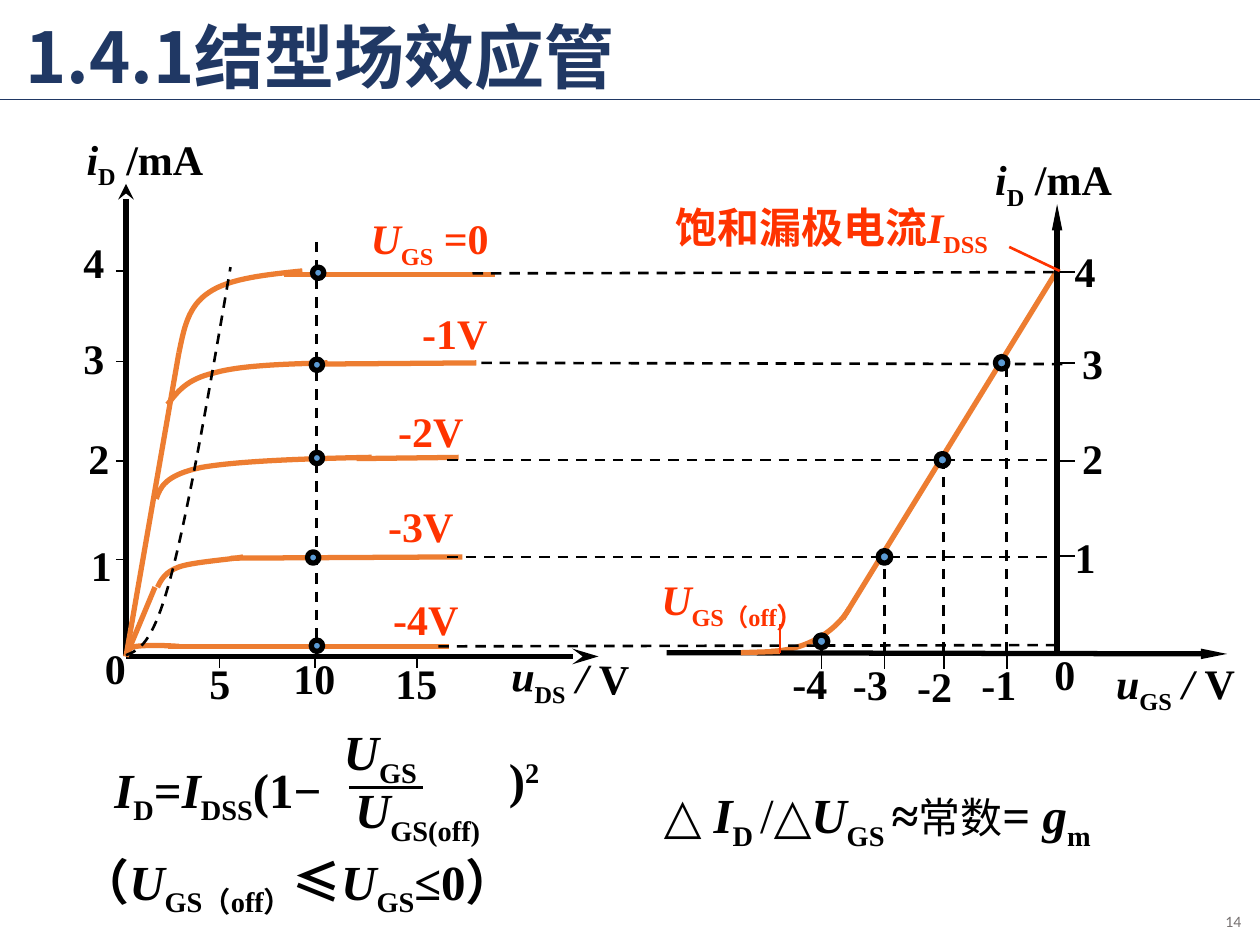
from dataclasses import dataclass

from lxml import etree
from pptx import Presentation
from pptx.dml.color import RGBColor
from pptx.enum import dml, shapes, text
from pptx.oxml import ns
from pptx.util import Inches, Pt


@dataclass(frozen=True)
class Theme:
    ink: RGBColor = RGBColor(0, 0, 0)
    navy: RGBColor = RGBColor(0x20, 0x38, 0x64)
    curve: RGBColor = RGBColor(0xED, 0x7D, 0x31)
    accent: RGBColor = RGBColor(0xFF, 0x33, 0x00)
    marker: RGBColor = RGBColor(0x5B, 0x9B, 0xD5)
    muted: RGBColor = RGBColor(0x76, 0x71, 0x71)
    serif: str = "Times New Roman"
    sans: str = "Noto Sans CJK SC"
    small: str = "Calibri"
    title: int = 40
    formula: int = 28
    label: int = 24
    number: int = 9
    thick: float = 3
    dash: float = 1.5
    tick: float = 1


THEME = Theme()
CENTER = text.PP_ALIGN.CENTER


def add_run(paragraph, words, style="", size=THEME.label, color=THEME.ink, face=THEME.serif):
    run = paragraph.add_run()
    run.text = words
    font = run.font
    font.name, font.size = face, Pt(size)
    font.bold, font.italic = "n" not in style, "i" in style
    font.color.rgb = color
    properties = run._r.get_or_add_rPr()
    etree.SubElement(properties, ns.qn("a:ea"), typeface=THEME.sans)
    if "_" in style or "^" in style:
        properties.set("baseline", "-25000" if "_" in style else "30000")


@dataclass
class Region:
    slide: object
    left: float
    top: float

    def at(self, x, y):
        return Inches(self.left + x), Inches(self.top + y)

    def line(self, start, end, color=THEME.ink, width=THEME.thick, dashed=False, arrow=None):
        connector = self.slide.shapes.add_connector(
            shapes.MSO_CONNECTOR.STRAIGHT, *self.at(*start), *self.at(*end))
        connector.line.color.rgb = color
        connector.line.width = Pt(width)
        if dashed:
            connector.line.dash_style = dml.MSO_LINE.DASH
        if arrow:
            kind, breadth, length = arrow
            etree.SubElement(connector.line._get_or_add_ln(), ns.qn("a:tailEnd"),
                             type=kind, w=breadth, len=length)
        etree.SubElement(connector._element.spPr, ns.qn("a:effectLst"))

    def dashed(self, start, end):
        self.line(start, end, width=THEME.dash, dashed=True)

    def curve(self, start, *controls, color=THEME.curve, width=THEME.thick, dashed=False):
        builder = self.slide.shapes.build_freeform(*self.at(*start))
        builder.add_line_segments([self.at(*control) for control in controls], close=False)
        outline = builder.convert_to_shape()
        segments = list(outline._element.iter(ns.qn("a:lnTo")))
        for first in range(0, len(segments), 3):
            bezier = etree.Element(ns.qn("a:cubicBezTo"))
            segments[first].addprevious(bezier)
            for segment in segments[first:first + 3]:
                bezier.append(segment[0])
                segment.getparent().remove(segment)
        outline.shadow.inherit = False
        outline.fill.background()
        outline.line.color.rgb = color
        outline.line.width = Pt(width)
        if dashed:
            outline.line.dash_style = dml.MSO_LINE.DASH

    def point(self, x, y, size):
        dot = self.slide.shapes.add_shape(
            shapes.MSO_SHAPE.OVAL, *self.at(x, y), Inches(size), Inches(size))
        dot.shadow.inherit = False
        dot.fill.solid()
        dot.fill.fore_color.rgb = THEME.marker
        dot.line.color.rgb = THEME.ink
        dot.line.width = Pt(THEME.thick)

    def label(self, x, y, width, *runs, height=0.5, align=None, wrap=False, **look):
        box = self.slide.shapes.add_textbox(*self.at(x, y), Inches(width), Inches(height))
        box.text_frame.word_wrap = wrap
        paragraph = box.text_frame.paragraphs[0]
        paragraph.alignment = align
        for words, style, *override in runs:
            add_run(paragraph, words, style, **{**look, **(override[0] if override else {})})
        return box


def heading(slide, left, top):
    region = Region(slide, left, top)
    region.line((0, 0.79), (10, 0.79), THEME.navy, THEME.tick)
    title = slide.shapes.title
    title.left, title.top = region.at(0.1, -0.07)
    title.width, title.height = Inches(8.5), Inches(1.1)
    title.text_frame.vertical_anchor = text.MSO_ANCHOR.MIDDLE
    paragraph = title.text_frame.paragraphs[0]
    paragraph.alignment = text.PP_ALIGN.LEFT
    paragraph.line_spacing = 0.9
    add_run(paragraph, "1.4.1结型场效应管", size=THEME.title, color=THEME.navy, face=THEME.sans)


def output_curves(slide, left, top):
    region = Region(slide, left, top)
    origin = (0.5, 4.21)
    region.line(origin, (4.25, 4.21), arrow=("stealth", "med", "lg"))
    region.line(origin, (0.5, 0.46), arrow=("stealth", "med", "med"))
    region.line(origin, (0.92, 1.8), THEME.curve)
    region.line(origin, (0.73, 3.66), THEME.curve)

    knees = [
        ((0.92, 1.8), (0.96, 1.61), (0.99, 1.43), (1.16, 1.32), (1.32, 1.21), (1.61, 1.18), (1.9, 1.15)),
        ((0.83, 2.21), (0.91, 2.11), (0.98, 2.01), (1.2, 1.96), (1.41, 1.9), (1.76, 1.89), (2.1, 1.88)),
        ((0.74, 2.96), (0.77, 2.87), (0.81, 2.77), (1.1, 2.71), (1.38, 2.66), (1.92, 2.64), (2.45, 2.63)),
        ((0.75, 3.66), (0.78, 3.6), (0.81, 3.54), (0.92, 3.5), (1.03, 3.46), (1.34, 3.44), (1.43, 3.42)),
        (origin, (0.51, 4.18), (0.51, 4.14), (0.58, 4.13), (0.65, 4.12), (0.78, 4.12), (0.92, 4.13)),
    ]
    plateaus = [((1.75, 1.18), (3.43, 1.18)), ((2, 1.89), (3.28, 1.88)), ((2.33, 2.64), (3.14, 2.63)),
                ((1.33, 3.43), (3.17, 3.42)), ((0.83, 4.13), (3.06, 4.13))]
    for knee, plateau in zip(knees, plateaus):
        region.curve(*knee)
        region.line(*plateau, THEME.curve)

    for number, tick, x, y in (("4", 1.15, 0.06, 0.83), ("3", 1.87, 0.06, 1.59),
                               ("2", 2.66, 0.1, 2.38), ("1", 3.44, 0.12, 3.23)):
        region.line((0.42, tick), (0.5, tick), width=THEME.tick)
        region.label(x, y, 0.37, (number, ""), align=CENTER)
    for number, tick, x, y, width in (("5", 1.24, 1.06, 4.17, 0.37), ("10", 2, 1.73, 4.13, 0.53),
                                      ("15", 2.81, 2.54, 4.17, 0.53)):
        region.line((tick, 4.21), (tick, 4.3), width=0.75)
        region.label(x, y, width, (number, ""), align=CENTER)
    region.label(0.23, 4.05, 0.37, ("0", ""), align=CENTER)

    region.label(2.32, 0.64, 1.18, ("U", "i"), ("GS", "_"), (" =0", ""),
                 align=CENTER, color=THEME.accent)
    for voltage, x, y in (("-1V", 2.75, 1.39), ("-2V", 2.56, 2.17),
                          ("-3V", 2.48, 2.92), ("-4V", 2.52, 3.66)):
        region.label(x, y, 0.72, (voltage, ""), align=CENTER, color=THEME.accent)
    region.label(3.33, 4.12, 1.31, (" u", "i"), ("DS", "_"), (" / ", "i"), ("V", ""),
                 align=CENTER).rotation = 1.4
    region.label(-0.01, 0.01, 1.32, ("i", "i"), ("D", "_"), (" /mA", ""), align=CENTER)

    region.dashed((2.01, 0.92), (2.01, 4.23))
    region.curve((0.5, 4.2), (0.6, 4.16), (0.71, 4.12), (0.85, 3.6), (0.99, 3.09), (1.16, 2.11),
                 (1.33, 1.12), color=THEME.ink, width=THEME.dash, dashed=True)
    for x, y in ((1.98, 1.12), (1.97, 1.85), (1.97, 2.59), (1.94, 3.38), (1.97, 4.08)):
        region.point(x, y, 0.09)


def transfer_curve(slide, left, top):
    region = Region(slide, left, top)
    region.line((3.4, 1.13), (1.69, 3.91), THEME.curve)
    region.curve((1.12, 4.17), (1.38, 4.16), (1.62, 4.03), (1.74, 3.83))
    arrow = ("triangle", "sm", "lg")
    region.line((3.39, 4.2), (3.39, 0.62), arrow=arrow)
    region.line((0.29, 4.18), (4.74, 4.19), arrow=arrow)

    for number, tick, x, y in (("4", 1.16, 3.43, 0.9), ("3", 1.88, 3.49, 1.63),
                               ("2", 2.66, 3.49, 2.38), ("1", 3.41, 3.43, 3.17)):
        region.line((3.4, tick), (3.53, tick), width=THEME.tick)
        region.label(x, y, 0.5, (number, ""), wrap=True)
    region.label(3.27, 4.1, 0.5, ("0", ""), wrap=True)
    region.label(2.8, 0.17, 1.19, ("i", "i"), ("D", "_"), (" /mA", ""))
    region.label(3.76, 4.17, 1.24, ("u", "i"), ("GS", "_"), (" / ", "i"), ("V", ""))

    for start, end in (((-1.25, 1.17), (3.4, 1.16)), ((-1.18, 1.88), (3.48, 1.89)),
                       ((-1.45, 2.65), (3.37, 2.65)), ((-1.45, 3.42), (3.36, 3.42)),
                       ((-1.52, 4.13), (3.39, 4.12))):
        region.dashed(start, end)
    for number, tick, height, x, y, dot in (
            ("-1", 2.99, 1.88, 2.69, 4.18, (2.9, 1.83)), ("-2", 2.49, 2.59, 2.18, 4.19, (2.43, 2.6)),
            ("-3", 2.02, 3.43, 1.67, 4.18, (1.97, 3.37)), ("-4", 1.52, 4.09, 1.19, 4.17, (1.47, 4.04))):
        region.line((tick, 4.2), (tick, 4.31), width=THEME.tick)
        region.label(x, y, 0.48, (number, ""))
        region.dashed((tick, 4.18), (tick, height))
        region.point(*dot, 0.1)

    region.line((0.88, 4.18), (1.19, 4.17), THEME.curve)
    region.line((1.19, 4.18), (1.19, 3.95), THEME.accent, THEME.dash)
    region.label(0.15, 3.45, 2.79, ("U", "i"), ("GS（off", "_"), ("）", "_", {"size": THEME.formula}),
                 wrap=True, color=THEME.accent)
    region.line((3.01, 0.96), (3.41, 1.15), THEME.accent, THEME.dash)
    region.label(0.26, 0.55, 3.14, ("饱和漏极电流", ""), ("I", "i"), ("DSS", "_"),
                 wrap=True, color=THEME.accent)


def formulas(slide, left, top):
    region = Region(slide, left, top)

    def formula(x, y, width, *runs, wrap=True):
        region.label(x, y, width, *runs, height=0.57, wrap=wrap, size=THEME.formula)

    formula(2.22, 0.64, 1.4, ("U", "i"), ("GS(off)", "_"))
    formula(2.13, 0.18, 0.97, ("U", "i"), ("GS", "_"))
    region.line((2.27, 0.75), (2.86, 0.75), width=THEME.dash)
    formula(0.31, 0.48, 2.21, ("I", "i"), ("D", "_"), ("=", ""), ("I", "i"), ("DSS", "_"), ("(1−", ""))
    formula(3.44, 0.4, 0.88, (")", ""), ("2", "^"))
    formula(0.04, 1.21, 4.58, ("（", ""), ("U", "i"), ("GS（off）", "_"), ("≤", ""),
            ("U", "i"), ("GS", "_"), ("≤0）", ""))
    formula(4.67, 0.68, 4.06, ("△ ", ""), ("I", "i"), ("D ", "_"), ("/", "n"), ("△", ""),
            ("U", "i"), ("GS ", "_"), ("≈", ""),
            ("常数", "n", {"size": THEME.label, "face": THEME.sans}),
            ("= ", ""), ("g", "i"), ("m", "_"), wrap=False)


def page_number(slide, left, top):
    number = Region(slide, left, top).label(
        0, 0, 2.25, ("14", "n"), height=0.4, align=text.PP_ALIGN.RIGHT, wrap=True,
        size=THEME.number, color=THEME.muted, face=THEME.small)
    number.text_frame.vertical_anchor = text.MSO_ANCHOR.MIDDLE


def main():
    deck = Presentation()
    deck.slide_width, deck.slide_height = Inches(10), Inches(7.5)
    slide = deck.slides.add_slide(deck.slide_layouts[5])
    heading(slide, 0, 0)
    output_curves(slide, 0.5, 1)
    transfer_curve(slide, 5, 1)
    formulas(slide, 0.5, 5.5)
    page_number(slide, 7.7, 7.11)
    deck.save("out.pptx")


if __name__ == "__main__":
    main()
